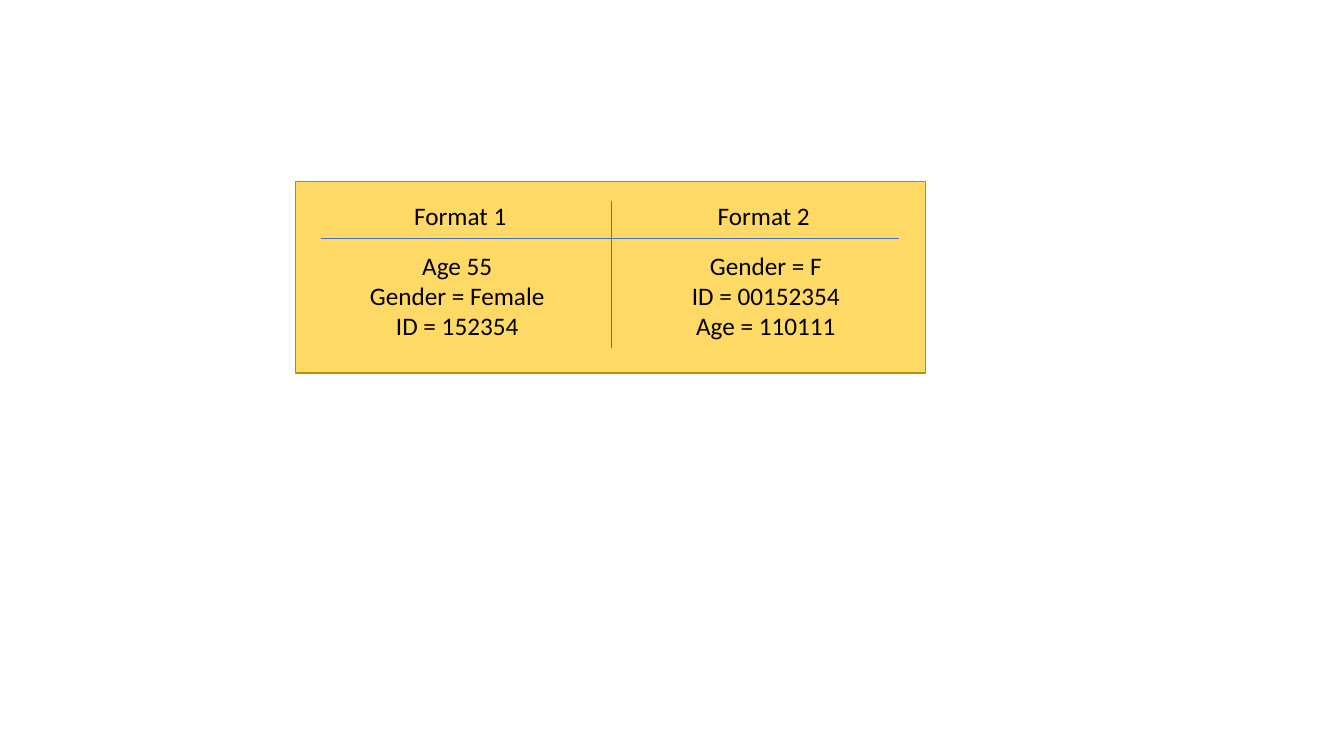
from dataclasses import dataclass

from lxml import etree
from pptx import Presentation
from pptx import util as u
from pptx.dml.color import RGBColor
from pptx.enum import shapes, text
from pptx.oxml import ns


@dataclass(frozen=True)
class Theme:
    panel: RGBColor = RGBColor.from_string("FFD966")
    border: RGBColor = RGBColor.from_string("BD8E00")
    rule: RGBColor = RGBColor.from_string("4472C4")
    ink: RGBColor = RGBColor.from_string("000000")
    font: str = "Calibri"
    size: u.Pt = u.Pt(18)


theme = Theme()


def add_rule(group, x1, y1, x2, y2):
    rule = group.shapes.add_connector(
        shapes.MSO_CONNECTOR.STRAIGHT, *map(u.Inches, (x1, y1, x2, y2)))
    rule.line.color.rgb = theme.rule
    rule.line.width = u.Pt(0.5)
    etree.SubElement(rule._element.spPr, ns.qn("a:effectLst"))


def add_lines(group, left, top, height, lines):
    box = group.shapes.add_textbox(*map(u.Inches, (left, top, 2.75, height)))
    frame = box.text_frame
    frame.word_wrap = True
    for index, line in enumerate(lines):
        para = frame.add_paragraph() if index else frame.paragraphs[0]
        para.alignment = text.PP_ALIGN.CENTER
        span = para.add_run()
        span.text = line
        span.font.name = theme.font
        span.font.size = theme.size
        span.font.color.rgb = theme.ink


# Deck and page
deck = Presentation()
deck.slide_width, deck.slide_height = u.Inches(13.33), u.Inches(7.5)
page = deck.slides.add_slide(deck.slide_layouts[6])
comparison = page.shapes.add_group_shape()

# Yellow panel
panel = comparison.shapes.add_shape(
    shapes.MSO_SHAPE.RECTANGLE, *map(u.Inches, (2.93, 1.8, 6.25, 1.9)))
panel.shadow.inherit = False
panel.fill.solid()
panel.fill.fore_color.rgb = theme.panel
panel.line.color.rgb = theme.border
panel.line.width = u.Pt(1)

# Column divider and heading rule
add_rule(comparison, 6.06, 1.99, 6.06, 3.45)
add_rule(comparison, 3.18, 2.36, 8.92, 2.36)

# Headings and records: heading, its left, record left, record height, record
formats = [
    ("Format 1", 3.19, 3.16, 1.67,
     ["Age 55", "Gender = Female", "ID = 152354"]),
    ("Format 2", 6.2, 6.22, 1.99,
     ["Gender = F", "ID = 00152354", "Age = 110111"]),
]
for heading, heading_left, record_left, record_height, record in formats:
    add_lines(comparison, heading_left, 1.94, 0.42, [heading])
    add_lines(comparison, record_left, 2.43, record_height, record)

deck.save("out.pptx")
